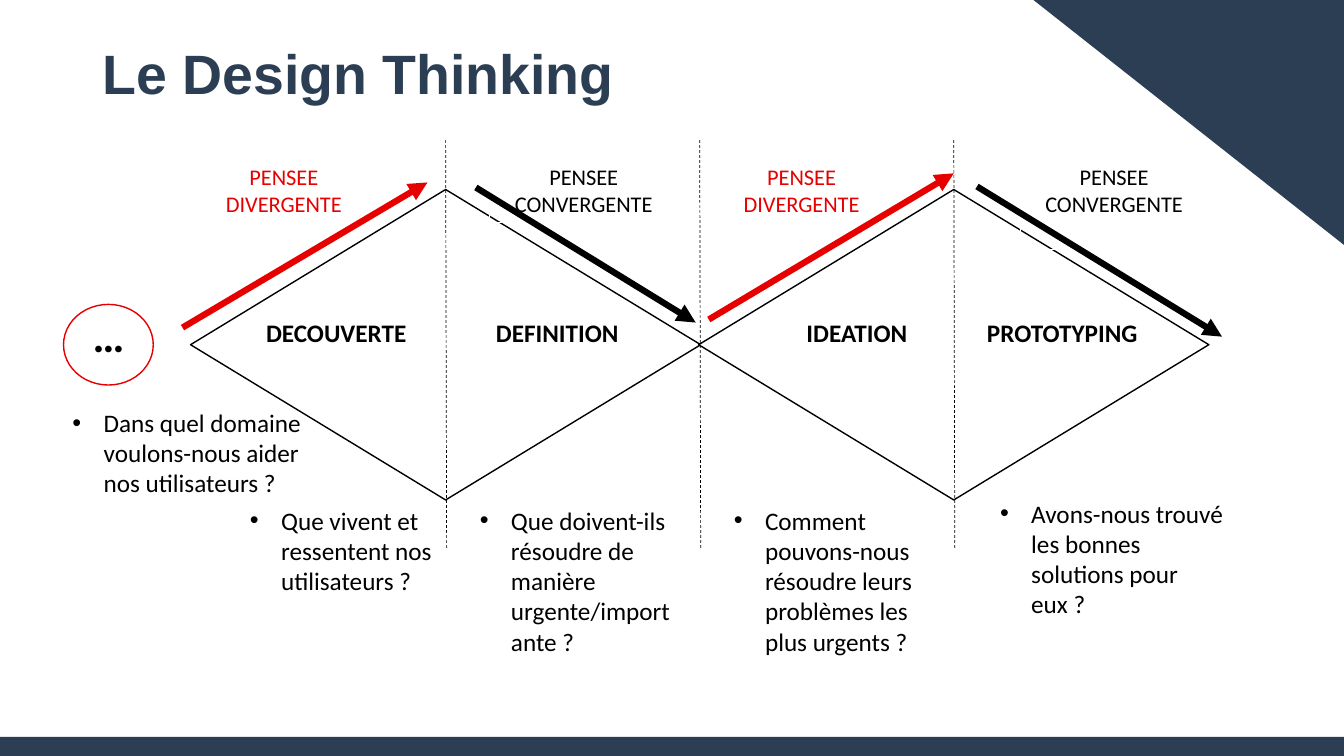
import lxml.etree
import pptx
import pptx.util
import pptx.dml.color
import pptx.enum.dml
import pptx.enum.shapes
import pptx.enum.text
import pptx.oxml.ns

Inches, Pt = pptx.util.Inches, pptx.util.Pt
RGBColor = pptx.dml.color.RGBColor
MSO_SHAPE = pptx.enum.shapes.MSO_SHAPE
PP_ALIGN = pptx.enum.text.PP_ALIGN
MSO_ANCHOR = pptx.enum.text.MSO_ANCHOR
qn = pptx.oxml.ns.qn

NAVY = RGBColor(0x2B, 0x3E, 0x54)
RED = RGBColor(0xE6, 0x00, 0x00)
BLACK = RGBColor(0x00, 0x00, 0x00)
WHITE = RGBColor(0xFF, 0xFF, 0xFF)

# Content: places are (left, top, width, height) in inches
TITLE = "Le Design Thinking"
DIVERGENT, CONVERGENT = "PENSEE DIVERGENTE", "PENSEE CONVERGENTE"
STAGES = [("DECOUVERTE", 2.54, 1.61), ("DEFINITION", 4.82, 1.43),
          ("IDEATION", 7.9, 1.21), ("PROTOTYPING", 9.69, 1.71)]
QUESTIONS = [
    ("Dans quel domaine voulons-nous aider nos utilisateurs ?", (0.62, 3.99, 2.47, 1.31)),
    ("Que vivent et ressentent nos utilisateurs ?", (2.38, 4.96, 2.09, 1.01)),
    ("Que doivent-ils résoudre de manière urgente/importante ?", (4.66, 4.96, 2.09, 1.62)),
    ("Comment pouvons-nous résoudre leurs problèmes les plus urgents ?",
     (7.18, 4.96, 2.03, 1.62)),
    ("Avons-nous trouvé les bonnes solutions pour eux ?", (9.82, 4.89, 2.47, 1.31)),
]
THINKING = [  # label, left, width, height, colour
    (DIVERGENT, 2.04, 1.55, 0.64, RED), (CONVERGENT, 4.86, 1.86, 0.64, BLACK),
    (DIVERGENT, 7.19, 1.52, 0.91, RED), (CONVERGENT, 10.12, 1.86, 0.91, BLACK),
]
ARROWS = [  # start, end, colour
    ((1.81, 3.25), (4.24, 1.81), RED), ((4.72, 1.86), (6.9, 3.2), BLACK),
    ((7.03, 3.17), (9.46, 1.72), RED), ((9.69, 1.85), (12.12, 3.34), BLACK),
]
DIAMOND_LEFTS = (1.89, 6.93)
DIVIDER_START, DIVIDER_STEP = 4.42, 2.52

deck = pptx.Presentation()
deck.slide_width, deck.slide_height = Inches(13.33), Inches(7.5)
slide = deck.slides.add_slide(deck.slide_layouts[6])


def add_shape(kind, place, fill=None, line=None, width=1):
    shape = slide.shapes.add_shape(kind, *map(Inches, place))
    shape.shadow.inherit = False
    if fill is None:
        shape.fill.background()
    else:
        shape.fill.solid()
        shape.fill.fore_color.rgb = fill
    if line is None:
        shape.line.fill.background()
    else:
        shape.line.color.rgb = line
        shape.line.width = Pt(width)
    return shape


def write(shape, text, size, color=BLACK, bold=False, font="Calibri",
          align=PP_ALIGN.LEFT, anchor=MSO_ANCHOR.TOP, wrap=True):
    frame = shape.text_frame
    frame.word_wrap = wrap
    frame.vertical_anchor = anchor
    paragraph = frame.paragraphs[0]
    paragraph.text = text
    paragraph.alignment = align
    paragraph.font.name = font
    paragraph.font.size = Pt(size)
    paragraph.font.bold = bold
    paragraph.font.color.rgb = color
    return paragraph


def add_text(place, text, size, **style):
    return write(slide.shapes.add_textbox(*map(Inches, place)), text, size, **style)


def add_line(start, end, color, width, dashed=False, arrow=False):
    line = slide.shapes.add_connector(pptx.enum.shapes.MSO_CONNECTOR.STRAIGHT,
                                      *map(Inches, start + end))
    line.line.color.rgb = color
    line.line.width = Pt(width)
    if dashed:
        line.line.dash_style = pptx.enum.dml.MSO_LINE.DASH
    properties = line._element.spPr
    if arrow:
        lxml.etree.SubElement(properties.find(qn("a:ln")), qn("a:tailEnd"), type="triangle")
    lxml.etree.SubElement(properties, qn("a:effectLst"))


def add_bullet(paragraph):
    properties = paragraph._p.get_or_add_pPr()
    properties.set("marL", str(Inches(0.31)))
    properties.set("indent", str(-Inches(0.31)))
    # Bullet marks come before the default run properties
    run_defaults = properties.find(qn("a:defRPr"))
    run_defaults.addprevious(lxml.etree.Element(qn("a:buFont"), typeface="Arial"))
    run_defaults.addprevious(lxml.etree.Element(qn("a:buChar"), char="•"))


# Corner, footer band and title
corner = add_shape(MSO_SHAPE.RIGHT_TRIANGLE, (10.25, 0, 3.08, 2.43), NAVY)
corner.rotation = 180
add_shape(MSO_SHAPE.RECTANGLE, (0, 7.31, 13.33, 0.19), NAVY)
title = add_text((0.92, 0.4, 11.5, 0.71), TITLE, 39.6, color=NAVY, bold=True,
                 font="Arial", anchor=MSO_ANCHOR.MIDDLE)
title.line_spacing = 0.9

# Two diamonds cut by dashed dividers
for left in DIAMOND_LEFTS:
    add_shape(MSO_SHAPE.FLOWCHART_DECISION, (left, 1.88, 5.06, 3.08), WHITE, BLACK)
for index in range(3):
    x = DIVIDER_START + index * DIVIDER_STEP
    add_line((x, 1.39), (x + 0.01, 5.45), BLACK, 0.5, dashed=True)

# Stage names
for stage, left, width in STAGES:
    add_text((left, 3.1, width, 0.4), stage, 18, bold=True, wrap=False)

# Starting point
add_shape(MSO_SHAPE.OVAL, (0.63, 3.02, 0.89, 0.8), line=RED)
add_text((0.82, 3, 0.52, 0.64), "…", 32, bold=True, wrap=False)

# Questions
for question, place in QUESTIONS:
    add_bullet(add_text(place, question, 18))

# Ways of thinking: the convergent labels have a white outline
for label, left, width, height, color in THINKING:
    outline = WHITE if label == CONVERGENT else None
    box = add_shape(MSO_SHAPE.RECTANGLE, (left, 1.57, width, height), line=outline, width=0.75)
    write(box, label, 16, color=color, align=PP_ALIGN.CENTER)
for start, end, color in ARROWS:
    add_line(start, end, color, 4.5, arrow=True)

deck.save("out.pptx")
